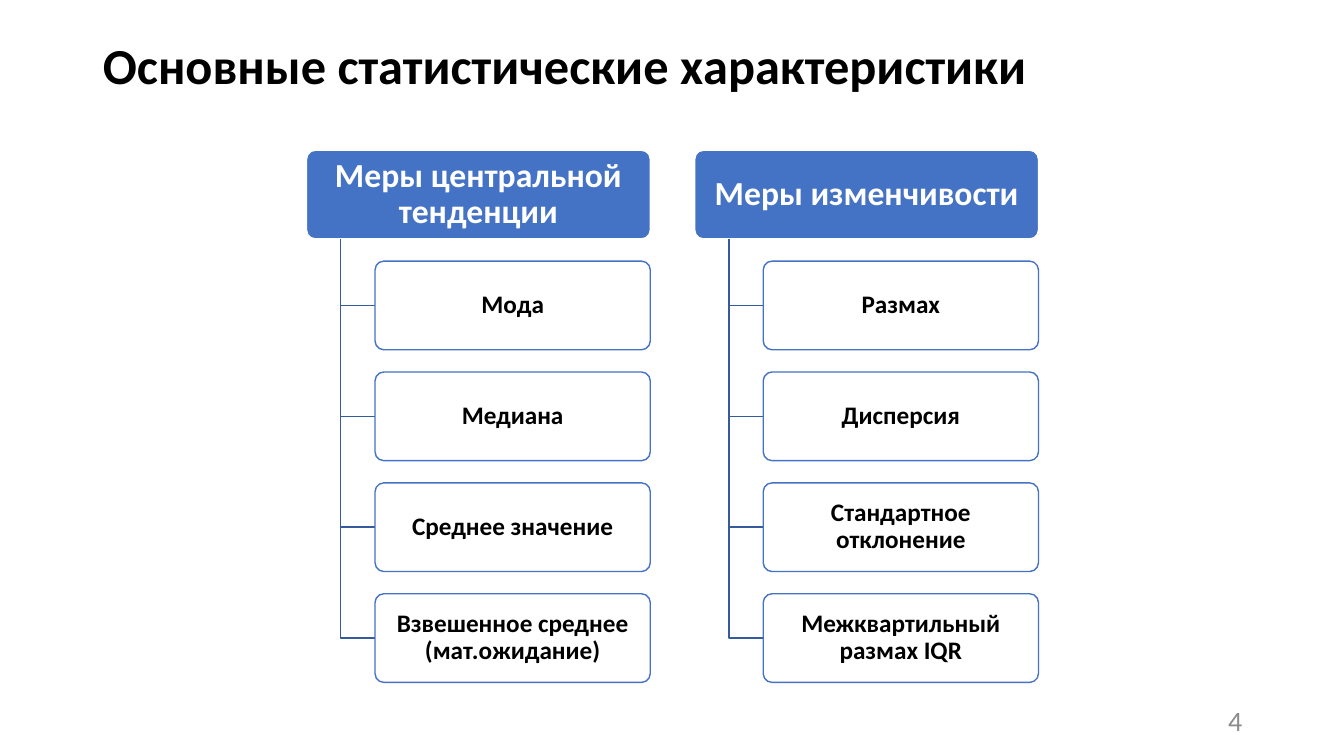
from lxml.etree import SubElement
from pptx import Presentation
from pptx.dml.color import RGBColor
from pptx.enum.shapes import MSO_SHAPE
from pptx.enum.text import MSO_ANCHOR, MSO_AUTO_SIZE, PP_ALIGN
from pptx.oxml.ns import qn
from pptx.util import Inches, Pt

FONT = "Calibri"
BLUE, DARK_BLUE, WHITE, BLACK, GREY = "4472C4", "365B9D", "FFFFFF", "000000", "8C8C8C"

COLUMN_LEFT, COLUMN_TOP = 3.04, 1.49
COLUMN_PITCH, ROW_PITCH = 3.85, 1.1
HEADER_WIDTH, ITEM_WIDTH, BOX_HEIGHT = 3.41, 2.73, 0.88
TRUNK_INDENT, ITEM_INDENT = 0.34, 0.68

MEASURES = {
    "Меры центральной тенденции": [
        "Мода",
        "Медиана",
        "Среднее значение",
        "Взвешенное среднее (мат.ожидание)",
    ],
    "Меры изменчивости": [
        "Размах",
        "Дисперсия",
        "Стандартное отклонение",
        "Межквартильный размах IQR",
    ],
}


def color(value):
    """Turn a hex string into a colour."""
    return RGBColor.from_string(value)


def write(shape, text, size, ink=BLACK, bold=True, align=PP_ALIGN.CENTER, spacing=0.9):
    """Fill a shape with one formatted paragraph, centred vertically."""
    frame = shape.text_frame
    frame.word_wrap = True
    frame.auto_size = MSO_AUTO_SIZE.NONE
    frame.vertical_anchor = MSO_ANCHOR.MIDDLE
    para = frame.paragraphs[0]
    para.alignment = align
    para.line_spacing = spacing
    span = para.add_run()
    span.text = text
    span.font.name = FONT
    span.font.size = Pt(size)
    span.font.bold = bold
    span.font.color.rgb = color(ink)


def place(shape, left, top, width, height):
    """Set the position and size of a shape in inches."""
    shape.left, shape.top = Inches(left), Inches(top)
    shape.width, shape.height = Inches(width), Inches(height)


def add_box(page, left, top, width, text, size, ink, fill, line, opacity=100):
    """Add a rounded box with centred text."""
    box = page.shapes.add_shape(
        MSO_SHAPE.ROUNDED_RECTANGLE,
        Inches(left), Inches(top), Inches(width), Inches(BOX_HEIGHT),
    )
    box.adjustments[0] = 0.1
    box.shadow.inherit = False
    box.fill.solid()
    box.fill.fore_color.rgb = color(fill)
    if opacity < 100:
        tint = box.fill._xPr.find(qn("a:solidFill"))[0]
        SubElement(tint, qn("a:alpha"), val=str(opacity * 1000))
    box.line.color.rgb = color(line)
    box.line.width = Pt(1)
    frame = box.text_frame
    frame.margin_left = frame.margin_right = Inches(0.07)
    frame.margin_top = frame.margin_bottom = Inches(0.05)
    write(box, text, size, ink)


def add_branch(page, left, top, right, bottom):
    """Draw an elbow line down from a header and across to an item."""
    builder = page.shapes.build_freeform(Inches(left), Inches(top))
    corners = [(Inches(left), Inches(bottom)), (Inches(right), Inches(bottom))]
    builder.add_line_segments(corners, close=False)
    branch = builder.convert_to_shape()
    branch.shadow.inherit = False
    branch.fill.background()
    branch.line.color.rgb = color(DARK_BLUE)
    branch.line.width = Pt(1)


def add_column(page, left, header, items):
    """Add a header with its items hanging below."""
    add_box(page, left, COLUMN_TOP, HEADER_WIDTH, header, 24, WHITE, BLUE, WHITE)
    for row, item in enumerate(items, start=1):
        top = COLUMN_TOP + row * ROW_PITCH
        item_left = left + ITEM_INDENT
        add_branch(page, left + TRUNK_INDENT, COLUMN_TOP + BOX_HEIGHT,
                   item_left, top + BOX_HEIGHT / 2)
        add_box(page, item_left, top, ITEM_WIDTH, item, 18, BLACK, WHITE, BLUE, opacity=90)


def add_page_number(page, number):
    """Add the page number at the lower right."""
    box = page.shapes.add_textbox(Inches(9.42), Inches(6.95), Inches(3), Inches(0.4))
    write(box, number, 20, GREY, bold=False, align=PP_ALIGN.RIGHT, spacing=1.0)


def main():
    """Build the slide and save it."""
    deck = Presentation()
    deck.slide_width, deck.slide_height = Inches(13.33), Inches(7.5)
    page = deck.slides.add_slide(deck.slide_layouts[5])
    title = page.shapes.title
    place(title, 0.92, 0.08, 11.5, 1.2)
    write(title, "Основные статистические характеристики", 36, align=PP_ALIGN.LEFT)
    for index, (header, items) in enumerate(MEASURES.items()):
        add_column(page, COLUMN_LEFT + index * COLUMN_PITCH, header, items)
    add_page_number(page, "4")
    deck.save("out.pptx")


if __name__ == "__main__":
    main()
